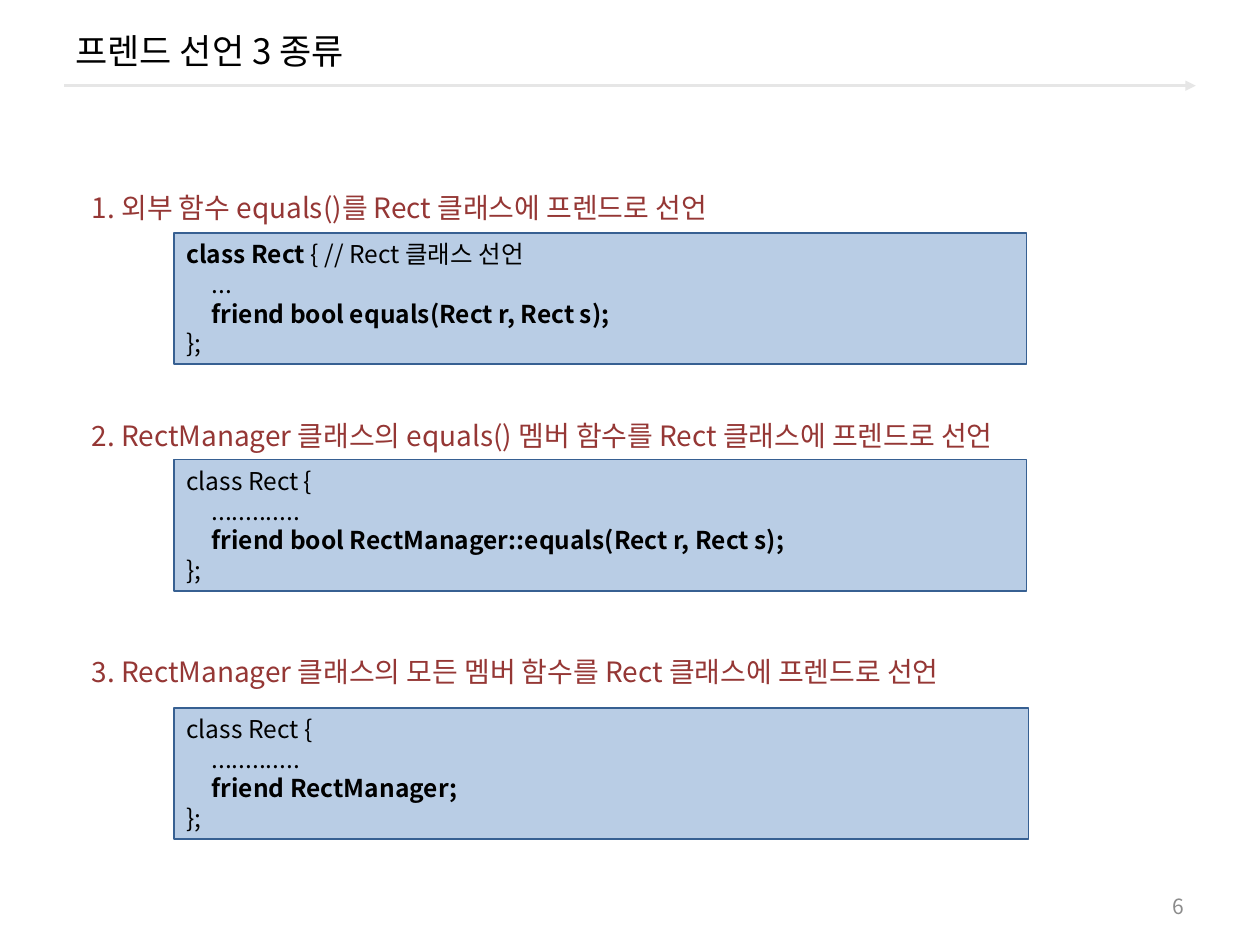
from dataclasses import dataclass

from lxml.etree import SubElement
from pptx import Presentation
from pptx.dml.color import RGBColor
from pptx.enum.shapes import MSO_CONNECTOR, MSO_SHAPE
from pptx.enum.text import MSO_ANCHOR, PP_ALIGN
from pptx.oxml.ns import qn
from pptx.util import Pt


@dataclass(frozen=True)
class Theme:
    font: str = "Noto Sans CJK KR"
    text: str = "000000"
    heading: str = "953735"
    number: str = "8C8C8C"
    rule: str = "E6E6E6"
    code_fill: str = "B9CDE5"
    code_line: str = "376092"
    title_size: float = 20
    heading_size: float = 16
    code_size: float = 14
    number_size: float = 12
    code_leading: float = 16.9
    code_tab: float = 14.4


THEME = Theme()

# Heading box, code box, heading and code lines; a code line is (text, bold) runs
SECTIONS = [
    ((45.4, 105.1, 397.4, 26.6), (99.4, 133.2, 487.4, 74.9),
     "1. 외부 함수 equals()를 Rect 클래스에 프렌드로 선언",
     [[("class Rect ", True), ("{ // Rect 클래스 선언", False)],
      [("\t...", False)],
      [("\tfriend bool equals(Rect r, Rect s);", True)],
      [("};", False)]]),
    ((45.4, 235.4, 570.2, 26.6), (99.4, 262.8, 487.4, 74.9),
     "2. RectManager 클래스의 equals() 멤버 함수를 Rect 클래스에 프렌드로 선언",
     [[("class Rect {", False)],
      [("\t.............", False)],
      [("\t", False), ("friend bool RectManager::equals(Rect r, Rect s);", True)],
      [("};", False)]]),
    ((45.4, 370.1, 545, 26.6), (99.4, 404.6, 488.2, 74.9),
     "3. RectManager 클래스의 모든 멤버 함수를 Rect 클래스에 프렌드로 선언",
     [[("class Rect {", False)],
      [("\t.............", False)],
      [("\t", False), ("friend RectManager;", True)],
      [("};", False)]]),
]


def rgb(value):
    return RGBColor.from_string(value)


def points(box):
    return [Pt(v) for v in box]


def add_run(p, text, size, color, bold=False):
    r = p.add_run()
    r.text = text
    r.font.size = Pt(size)
    r.font.bold = bold
    r.font.color.rgb = rgb(color)
    r.font.name = THEME.font
    SubElement(r.font._element, qn("a:ea")).set("typeface", THEME.font)


def add_label(s, box, text, size, color, align=PP_ALIGN.LEFT, wrap=True):
    tf = s.shapes.add_textbox(*points(box)).text_frame
    tf.word_wrap = wrap
    tf.vertical_anchor = MSO_ANCHOR.MIDDLE
    p = tf.paragraphs[0]
    p.alignment = align
    add_run(p, text, size, color)


def add_rule(s, left, right, y):
    line = s.shapes.add_connector(
        MSO_CONNECTOR.STRAIGHT, Pt(left), Pt(y), Pt(right), Pt(y))
    line.line.color.rgb = rgb(THEME.rule)
    line.line.width = Pt(1.5)
    SubElement(line.line._get_or_add_ln(), qn("a:tailEnd")).set("type", "triangle")
    SubElement(line._element.spPr, qn("a:effectLst"))


def add_code(s, box, lines):
    sp = s.shapes.add_shape(MSO_SHAPE.RECTANGLE, *points(box))
    sp.shadow.inherit = False
    sp.fill.solid()
    sp.fill.fore_color.rgb = rgb(THEME.code_fill)
    sp.line.color.rgb = rgb(THEME.code_line)
    sp.line.width = Pt(0.75)
    tf = sp.text_frame
    tf.word_wrap = True
    tf.vertical_anchor = MSO_ANCHOR.TOP
    for i, runs in enumerate(lines):
        p = tf.add_paragraph() if i else tf.paragraphs[0]
        p.alignment = PP_ALIGN.LEFT
        p.line_spacing = Pt(THEME.code_leading)
        tabs = SubElement(p._p.get_or_add_pPr(), qn("a:tabLst"))
        tab = SubElement(tabs, qn("a:tab"))
        tab.set("pos", str(Pt(THEME.code_tab)))
        tab.set("algn", "l")
        for text, bold in runs:
            add_run(p, text, THEME.code_size, THEME.text, bold)


def add_section(s, heading_box, code_box, heading, lines):
    add_label(s, heading_box, heading, THEME.heading_size, THEME.heading, wrap=False)
    add_code(s, code_box, lines)


def main():
    prs = Presentation()
    prs.slide_width, prs.slide_height = Pt(720), Pt(540)
    s = prs.slides.add_slide(prs.slide_layouts[6])

    # Title and rule
    add_rule(s, 36.7, 683.3, 49)
    add_label(s, (36, 5.8, 648, 46), "프렌드 선언 3 종류", THEME.title_size, THEME.text)

    # Three kinds of friend declaration
    for section in SECTIONS:
        add_section(s, *section)

    # Page number
    add_label(s, (516.2, 506.2, 167.8, 23), "6", THEME.number_size, THEME.number,
              PP_ALIGN.RIGHT)

    prs.save("out.pptx")


if __name__ == "__main__":
    main()
